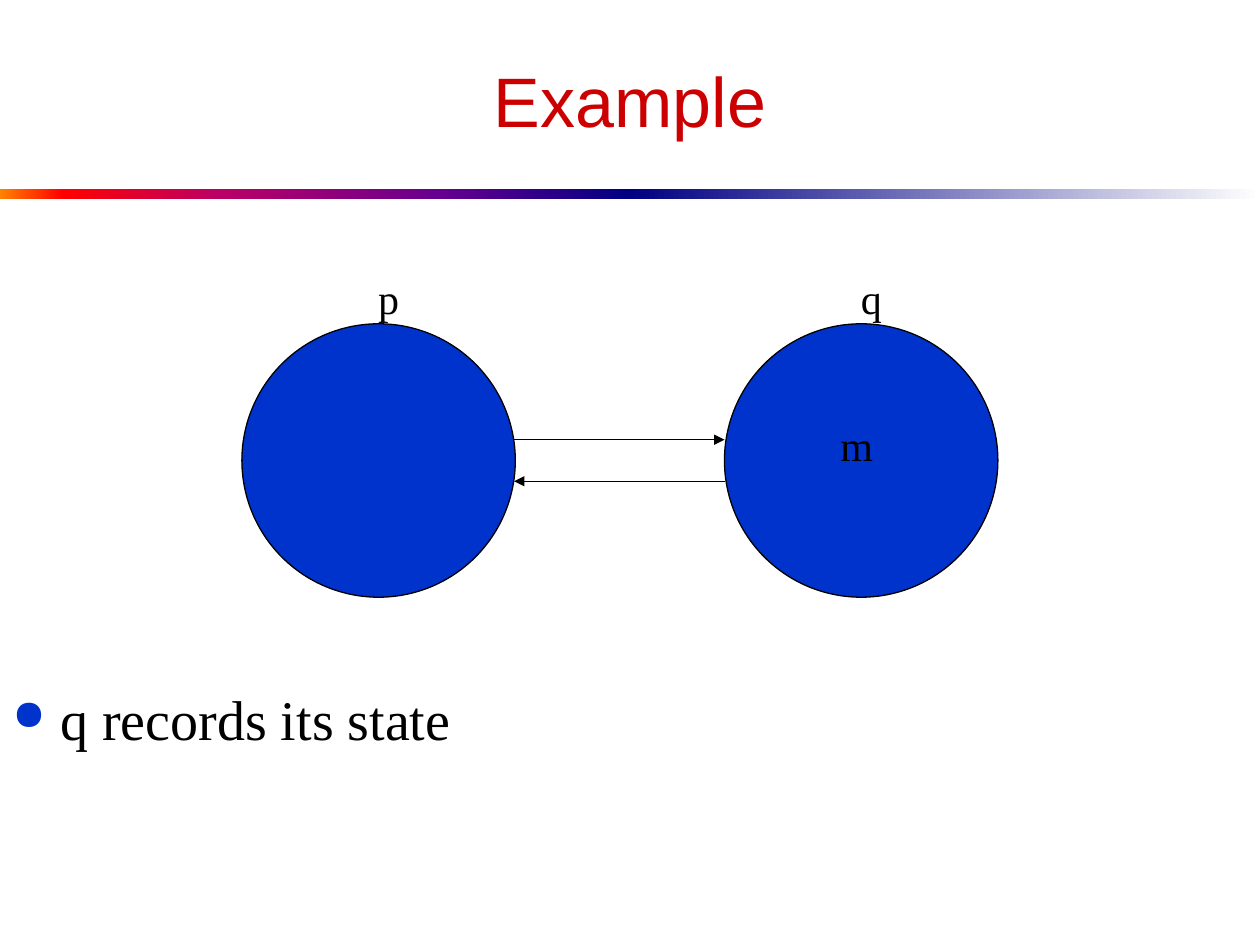
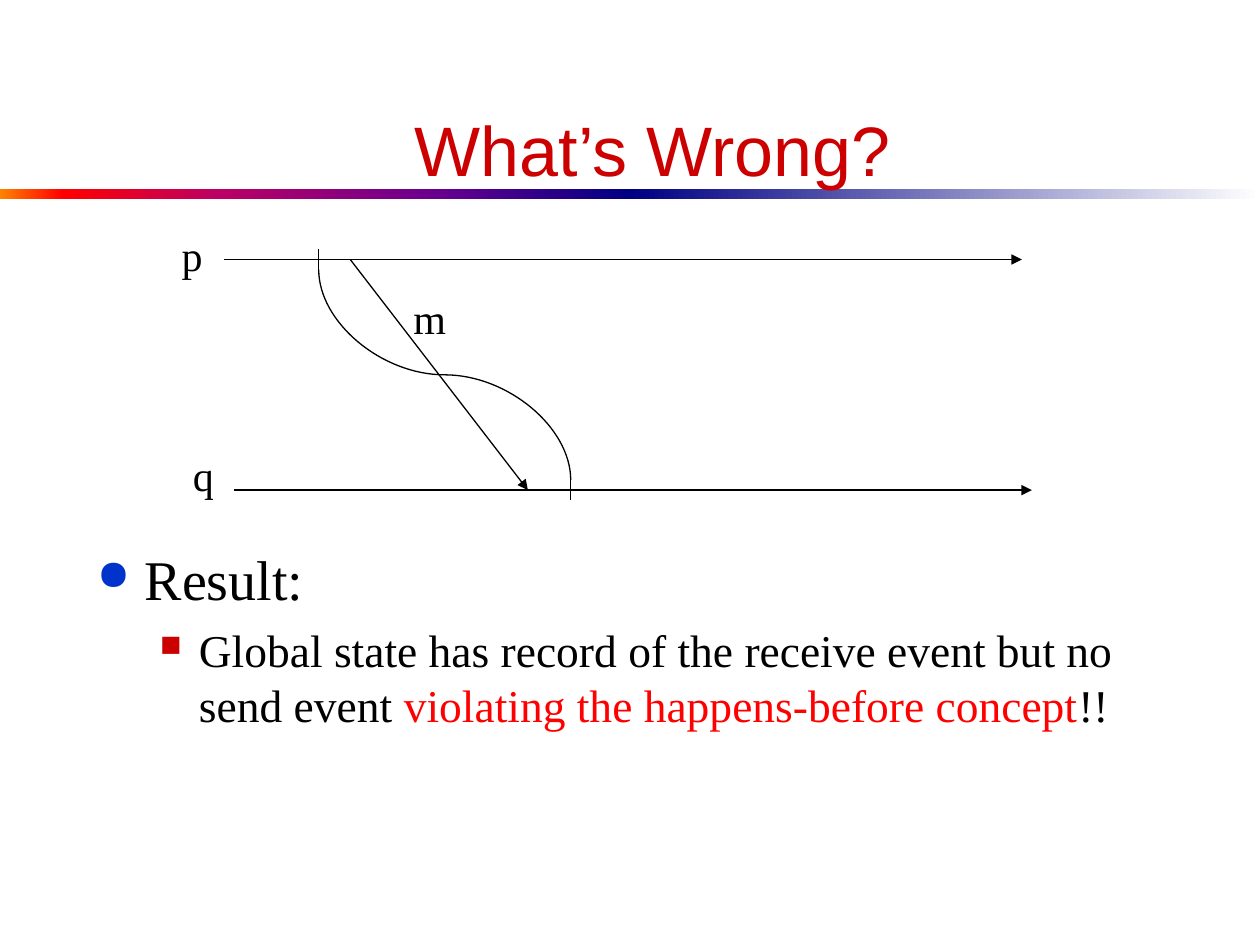
from dataclasses import dataclass
from typing import NamedTuple

from lxml import etree
from pptx import Presentation
from pptx.dml.color import RGBColor
from pptx.enum.shapes import MSO_CONNECTOR, MSO_SHAPE
from pptx.enum.text import MSO_ANCHOR, MSO_AUTO_SIZE, PP_ALIGN
from pptx.oxml.ns import qn
from pptx.util import Inches, Pt

STRAIGHT, CURVE = MSO_CONNECTOR.STRAIGHT, MSO_CONNECTOR.CURVE
RECTANGLE, OVAL = MSO_SHAPE.RECTANGLE, MSO_SHAPE.OVAL
MIDDLE, CENTER = MSO_ANCHOR.MIDDLE, PP_ALIGN.CENTER
FIT_SHAPE = MSO_AUTO_SIZE.SHAPE_TO_FIT_TEXT

BLACK = RGBColor(0x00, 0x00, 0x00)
WHITE = RGBColor(0xFF, 0xFF, 0xFF)
BLUE = RGBColor(0x00, 0x33, 0xCC)
DARK_RED = RGBColor(0xCC, 0x00, 0x00)
RED = RGBColor(0xFF, 0x00, 0x00)
ORANGE = RGBColor(0xFF, 0x82, 0x00)
MAGENTA = RGBColor(0xBA, 0x00, 0x66)
PURPLE = RGBColor(0x66, 0x00, 0x8F)
NAVY = RGBColor(0x00, 0x00, 0x82)

SERIF, SANS = "Times New Roman", "Arial"
LINE_WIDTH = Pt(0.75)
BAND_TOP, BAND_HEIGHT, HALF_WIDTH = 1.5, 0.08, 5
BAND_STOPS = [
    [(0, ORANGE), (10, RED), (35, MAGENTA), (70, PURPLE), (100, NAVY)],
    [(0, NAVY), (100, WHITE)],
]


class Area(NamedTuple):
    left: float
    top: float
    width: float
    height: float

    def lengths(self):
        return [Inches(value) for value in self]


class Point(NamedTuple):
    x: float
    y: float


class Span(NamedTuple):
    text: str
    color: RGBColor = BLACK


@dataclass(frozen=True)
class Level:
    bullet: str
    color: RGBColor
    percent: int
    size: int
    left: float
    hanging: float


TOPIC = Level("●", BLUE, 75, 32, 0.38, 0.38)
DETAIL = Level("■", DARK_RED, 65, 26, 0.81, 0.31)


def set_format(target, values: dict):
    for name, value in values.items():
        setattr(target, name, value)


def add_span(para, span: Span, size: int, face: str = SERIF):
    run = para.add_run()
    run.text = span.text
    set_format(run.font, {"size": Pt(size), "name": face})
    run.font.color.rgb = span.color


def add_band(page):
    """Draw the two-part gradient rule below the title."""
    for index, stops in enumerate(BAND_STOPS):
        area = Area(index * HALF_WIDTH, BAND_TOP, HALF_WIDTH, BAND_HEIGHT)
        band = page.shapes.add_shape(RECTANGLE, *area.lengths())
        band.shadow.inherit = False
        band.line.fill.background()
        band.fill.gradient()
        band.fill.gradient_angle = 0
        stop_list = next(band._element.iter(qn("a:gsLst")))
        for old_stop in list(stop_list):
            stop_list.remove(old_stop)
        for percent, color in stops:
            stop = etree.SubElement(stop_list, qn("a:gs"), pos=str(percent * 1000))
            etree.SubElement(stop, qn("a:srgbClr"), val=str(color))


def add_title(page, text: str, area: Area):
    box = page.shapes.add_textbox(*area.lengths())
    set_format(box.text_frame, {"word_wrap": True, "vertical_anchor": MIDDLE})
    para = box.text_frame.paragraphs[0]
    para.alignment = CENTER
    add_span(para, Span(text, DARK_RED), 40, SANS)


def add_label(page, text: str, left: float, top: float, width: float = 0.37):
    box = page.shapes.add_textbox(*Area(left, top, width, 0.5).lengths())
    set_format(box.text_frame, {"word_wrap": False, "auto_size": FIT_SHAPE})
    para = box.text_frame.paragraphs[0]
    para.alignment = CENTER
    add_span(para, Span(text), 24)


def add_bullet(para, level: Level):
    properties = para._p.get_or_add_pPr()
    properties.set("marL", str(Inches(level.left)))
    properties.set("indent", str(-Inches(level.hanging)))
    color = etree.SubElement(properties, qn("a:buClr"))
    etree.SubElement(color, qn("a:srgbClr"), val=str(level.color))
    etree.SubElement(properties, qn("a:buSzPct"), val=str(level.percent * 1000))
    etree.SubElement(properties, qn("a:buChar"), char=level.bullet)


def add_body(page, area: Area, items: list[tuple[Level, list[Span]]]):
    box = page.shapes.add_textbox(*area.lengths())
    frame = box.text_frame
    set_format(frame, {"word_wrap": True, "margin_top": Inches(0.11)})
    for index, (level, spans) in enumerate(items):
        para = frame.add_paragraph() if index else frame.paragraphs[0]
        add_bullet(para, level)
        if index:
            para.space_before = Pt(6)
        for span in spans:
            add_span(para, span, level.size)


def add_line(page, start: Point, end: Point, arrow: bool = False, kind=STRAIGHT):
    ends = [Inches(value) for value in (*start, *end)]
    line = page.shapes.add_connector(kind, *ends)
    line.line.color.rgb = BLACK
    line.line.width = LINE_WIDTH
    if arrow:
        etree.SubElement(line.line._get_or_add_ln(), qn("a:tailEnd"), type="triangle")
    etree.SubElement(line._element.spPr, qn("a:effectLst"))
    return line


def add_upright_curve(page, start: Point, end: Point):
    """Join two points by an S curve that is vertical at both ends."""
    middle = Point((start.x + end.x) / 2, (start.y + end.y) / 2)
    half_width, half_height = (end.y - start.y) / 2, (end.x - start.x) / 2
    curve = add_line(
        page,
        Point(middle.x + half_width, middle.y - half_height),
        Point(middle.x - half_width, middle.y + half_height),
        kind=CURVE,
    )
    curve._element.spPr.find(qn("a:xfrm")).set("rot", str(270 * 60000))


def add_process(page, left: float):
    circle = page.shapes.add_shape(OVAL, *Area(left, 2.57, 2.17, 2.17).lengths())
    circle.shadow.inherit = False
    circle.fill.solid()
    circle.fill.fore_color.rgb = BLUE
    circle.line.color.rgb = BLACK
    circle.line.width = LINE_WIDTH


def add_page(deck):
    page = deck.slides.add_slide(deck.slide_layouts[6])
    add_band(page)
    return page


def build_example(deck):
    page = add_page(deck)
    add_title(page, "Example", Area(0.5, 0.25, 9, 1.08))
    add_body(page, Area(0, 5.32, 10, 0.92), [(TOPIC, [Span("q records its state")])])
    for name, left in (("p", 1.92), ("q", 5.75)):
        add_process(page, left)
        add_label(page, name, left + 0.98, 2.11)
    add_line(page, Point(5.75, 3.82), Point(4.08, 3.82), arrow=True)
    add_line(page, Point(4.08, 3.49), Point(5.75, 3.49), arrow=True)
    add_label(page, "m", 6.57, 3.28, 0.46)


def build_whats_wrong(deck):
    page = add_page(deck)
    add_title(page, "What’s Wrong?", Area(0.18, 0.82, 10, 0.72))
    p_time, q_time = 2.06, 3.89
    for left, height in ((1.78, p_time), (1.86, q_time)):
        add_line(page, Point(left, height), Point(left + 6.33, height), arrow=True)
    add_line(page, Point(2.78, p_time), Point(4.19, q_time), arrow=True)
    add_label(page, "p", 1.34, 1.77)
    add_label(page, "q", 1.43, 3.52)
    cut_start, cut_end = Point(2.53, p_time + 0.08), Point(4.53, q_time - 0.08)
    add_line(page, Point(cut_start.x, p_time - 0.08), cut_start)
    add_line(page, cut_end, Point(cut_end.x, q_time + 0.08))
    add_upright_curve(page, cut_start, cut_end)
    add_label(page, "m", 3.18, 2.27, 0.46)
    add_body(page, Area(0.67, 4.21, 8.78, 0.92), [
        (TOPIC, [Span("Result:")]),
        (DETAIL, [
            Span("Global state has record of the receive event but no send event "),
            Span("violating the happens-before concept", RED),
            Span("!!"),
        ]),
    ])


def main():
    deck = Presentation()
    set_format(deck, {"slide_width": Inches(10), "slide_height": Inches(7.5)})
    build_example(deck)
    build_whats_wrong(deck)
    deck.save("out.pptx")


if __name__ == "__main__":
    main()
